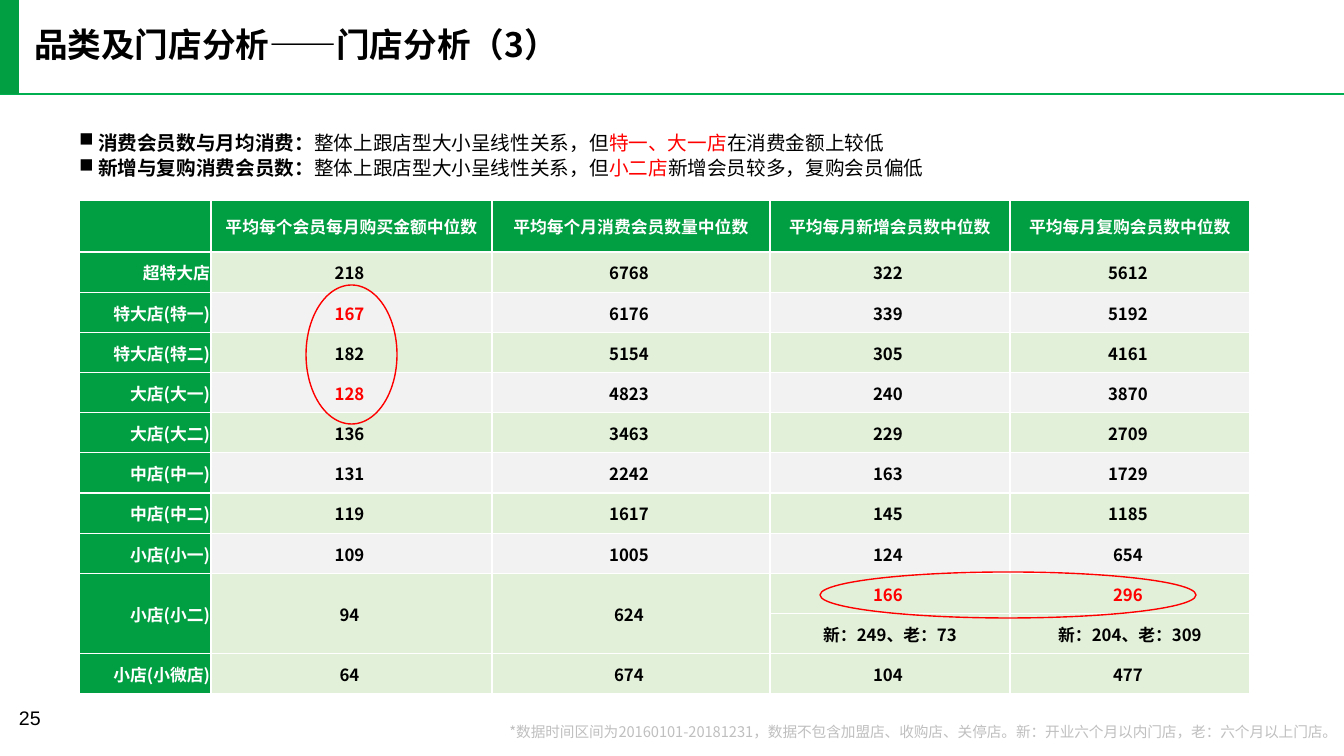
"""Builds the store analysis slide with its table of store-size medians."""
from dataclasses import dataclass
from typing import Any

from lxml import etree
from pptx import Presentation
from pptx import util as u
from pptx.dml import color
from pptx.enum import shapes, text
from pptx.oxml import ns

SCALE = 12192000 / 1344
GREEN, RED, BLACK, WHITE = "029E42", "FF0000", "000000", "FFFFFF"
LEFT, CENTER, RIGHT = text.PP_ALIGN.LEFT, text.PP_ALIGN.CENTER, text.PP_ALIGN.RIGHT
TOP, MIDDLE = text.MSO_ANCHOR.TOP, text.MSO_ANCHOR.MIDDLE


def px(length):
    """Turn px into EMU."""
    return u.Emu(round(length * SCALE))


def rgb(value):
    """Turn a hex string into a colour."""
    return color.RGBColor.from_string(value)


def assign(target, values):
    """Set each named attribute on the target."""
    for name, value in values.items():
        setattr(target, name, value)


def margins(left, top, right, bottom):
    """Give the four margins as format values."""
    return {"margin_left": px(left), "margin_top": px(top),
            "margin_right": px(right), "margin_bottom": px(bottom)}


def child(parent, tag, **attributes):
    """Append a drawing element."""
    return etree.SubElement(parent, ns.qn(tag), attributes)


@dataclass
class SlideBuilder:
    """Hold the style and the current slide."""

    slide: Any
    font: str = "Noto Sans CJK SC"

    def add_runs(self, paragraph, runs, size, font=None, **layout):
        """Fill a paragraph with (wording, colour, bold) runs."""
        assign(paragraph, layout)
        for wording, hue, bold in runs:
            run = paragraph.add_run()
            run.text = wording
            assign(run.font, {"name": font or self.font, "size": u.Pt(size), "bold": bold})
            run.font.color.rgb = rgb(hue)
            child(run._r.get_or_add_rPr(), "a:ea", typeface=font or self.font)

    def title(self, box, wording, size):
        """Move and format the title placeholder."""
        holder = self.slide.shapes.title
        assign(holder, dict(zip(("left", "top", "width", "height"), map(px, box))))
        assign(holder.text_frame, {**margins(0, 0, 0, 0), "vertical_anchor": TOP,
                                   "word_wrap": True, "auto_size": text.MSO_AUTO_SIZE.NONE})
        self.add_runs(holder.text_frame.paragraphs[0], [(wording, BLACK, True)], size,
                      alignment=LEFT, line_spacing=0.9)

    def textbox(self, box, paragraphs, size, font=None, bullet=None, frame=None, **layout):
        """Add a text box, with bullets if one is given."""
        body = self.slide.shapes.add_textbox(*map(px, box)).text_frame
        assign(body, {"word_wrap": True, **(frame or margins(0, 0, 0, 0))})
        for index, runs in enumerate(paragraphs):
            paragraph = body.add_paragraph() if index else body.paragraphs[0]
            if bullet:
                properties = paragraph._p.get_or_add_pPr()
                indent = px(19)
                properties.set("marL", str(indent))
                properties.set("indent", str(-indent))
                child(properties, "a:buChar", char=bullet)
            self.add_runs(paragraph, runs, size, font, **layout)

    def shape(self, kind, box, fill=None, line=None):
        """Add a preset shape with a plain fill or outline."""
        shape = self.slide.shapes.add_shape(kind, *map(px, box))
        shape.shadow.inherit = False
        for part, hue in ((shape.fill, fill), (shape.line.fill, line)):
            if hue:
                part.solid()
                part.fore_color.rgb = rgb(hue)
            else:
                part.background()
        if line:
            shape.line.width = u.Pt(1)

    def rule(self, start, end, hue):
        """Add a straight line."""
        line = self.slide.shapes.add_connector(
            shapes.MSO_CONNECTOR.STRAIGHT, *map(px, start + end))
        line.line.color.rgb = rgb(hue)
        line.line.width = u.Pt(1)
        child(line._element.spPr, "a:effectLst")

    def cell(self, cell, wording, fill, hue, size, alignment, right):
        """Fill one table cell and give it white borders."""
        assign(cell, {**margins(1, 1, right, 0), "vertical_anchor": MIDDLE})
        properties = cell._tc.get_or_add_tcPr()
        for side in ("a:lnL", "a:lnR", "a:lnT", "a:lnB"):
            border = child(properties, side, w=str(u.Pt(1)))
            child(child(border, "a:solidFill"), "a:srgbClr", val=WHITE)
        cell.fill.solid()
        cell.fill.fore_color.rgb = rgb(fill)
        if wording:
            self.add_runs(cell.text_frame.paragraphs[0], [(wording, hue, True)], size,
                          alignment=alignment)

    def table(self, box, widths, header_height, rows, highlights, split_row, size):
        """Add the table; the split row shares its first cells with the next row."""
        table = self.slide.shapes.add_table(len(rows), len(widths), *map(px, box)).table
        table.horz_banding = False
        for column, width in zip(table.columns, widths):
            column.width = px(width)
        body_height = (box[3] - header_height) / (len(rows) - 1)
        for r, row in enumerate(rows):
            table.rows[r].height = px(body_height if r else header_height)
            band = "E2F0D9" if r % 2 or r == split_row + 1 else "F2F2F2"
            for c, wording in enumerate(row):
                heading = r == 0 or c == 0
                hue = WHITE if heading else RED if wording in highlights else BLACK
                self.cell(table.cell(r, c), wording, GREEN if heading else band, hue, size,
                          RIGHT if r and c == 0 else CENTER, 5 if wording.isdigit() else 1)
        for c in range(3):
            table.cell(split_row, c).merge(table.cell(split_row + 1, c))


STORE_ROWS = [
    ("", "平均每个会员每月购买金额中位数", "平均每个月消费会员数量中位数",
     "平均每月新增会员数中位数", "平均每月复购会员数中位数"),
    ("超特大店", "218", "6768", "322", "5612"),
    ("特大店(特一)", "167", "6176", "339", "5192"),
    ("特大店(特二)", "182", "5154", "305", "4161"),
    ("大店(大一)", "128", "4823", "240", "3870"),
    ("大店(大二)", "136", "3463", "229", "2709"),
    ("中店(中一)", "131", "2242", "163", "1729"),
    ("中店(中二)", "119", "1617", "145", "1185"),
    ("小店(小一)", "109", "1005", "124", "654"),
    ("小店(小二)", "94", "624", "166", "296"),
    ("", "", "", "新：249、老：73", "新：204、老：309"),
    ("小店(小微店)", "64", "674", "104", "477"),
]
FINDINGS = [
    ("消费会员数与月均消费：", "特一、大一店", "在消费金额上较低"),
    ("新增与复购消费会员数：", "小二店", "新增会员较多，复购会员偏低"),
]
LINEAR = "整体上跟店型大小呈线性关系，但"
FOOTNOTE = ("*数据时间区间为20160101-20181231，数据不包含加盟店、收购店、关停店。"
            "新：开业六个月以内门店，老：六个月以上门店。")

deck = Presentation()
assign(deck, {"slide_width": px(1344), "slide_height": px(756)})
builder = SlideBuilder(deck.slides.add_slide(deck.slide_layouts[5]))

builder.rule((0, 94), (1344, 94), "00B050")
builder.title((34, 28, 634, 36), "品类及门店分析——门店分析（3）", 24)
builder.shape(shapes.MSO_SHAPE.RECTANGLE, (0, 0, 19, 94), fill=GREEN)
builder.textbox((488, 725, 850, 16), [[(FOOTNOTE, "BFBFBF", False)]], 10.5,
                frame={**margins(0, 0, 0, 0), "word_wrap": False},
                alignment=RIGHT, line_spacing=0.9)
builder.textbox((9, 701, 92, 40), [[("25", BLACK, False)]], 14, font="Arial",
                frame=margins(10, 5, 10, 5))
builder.table((79, 200, 1171, 494), (132, 281, 278, 240, 240), 52, STORE_ROWS,
              {"167", "128", "166", "296"}, 9, 12)
builder.textbox((79, 129, 1169, 50),
                [[(topic, BLACK, True), (LINEAR, BLACK, False),
                  (stores, RED, False), (outcome, BLACK, False)]
                 for topic, stores, outcome in FINDINGS],
                14, bullet="■", frame={**margins(0, 0, 0, 0), "vertical_anchor": MIDDLE},
                line_spacing=u.Pt(18))
for ring in ((306, 285, 91, 139), (820, 572, 376, 46)):
    builder.shape(shapes.MSO_SHAPE.OVAL, ring, line=RED)

deck.save("out.pptx")
